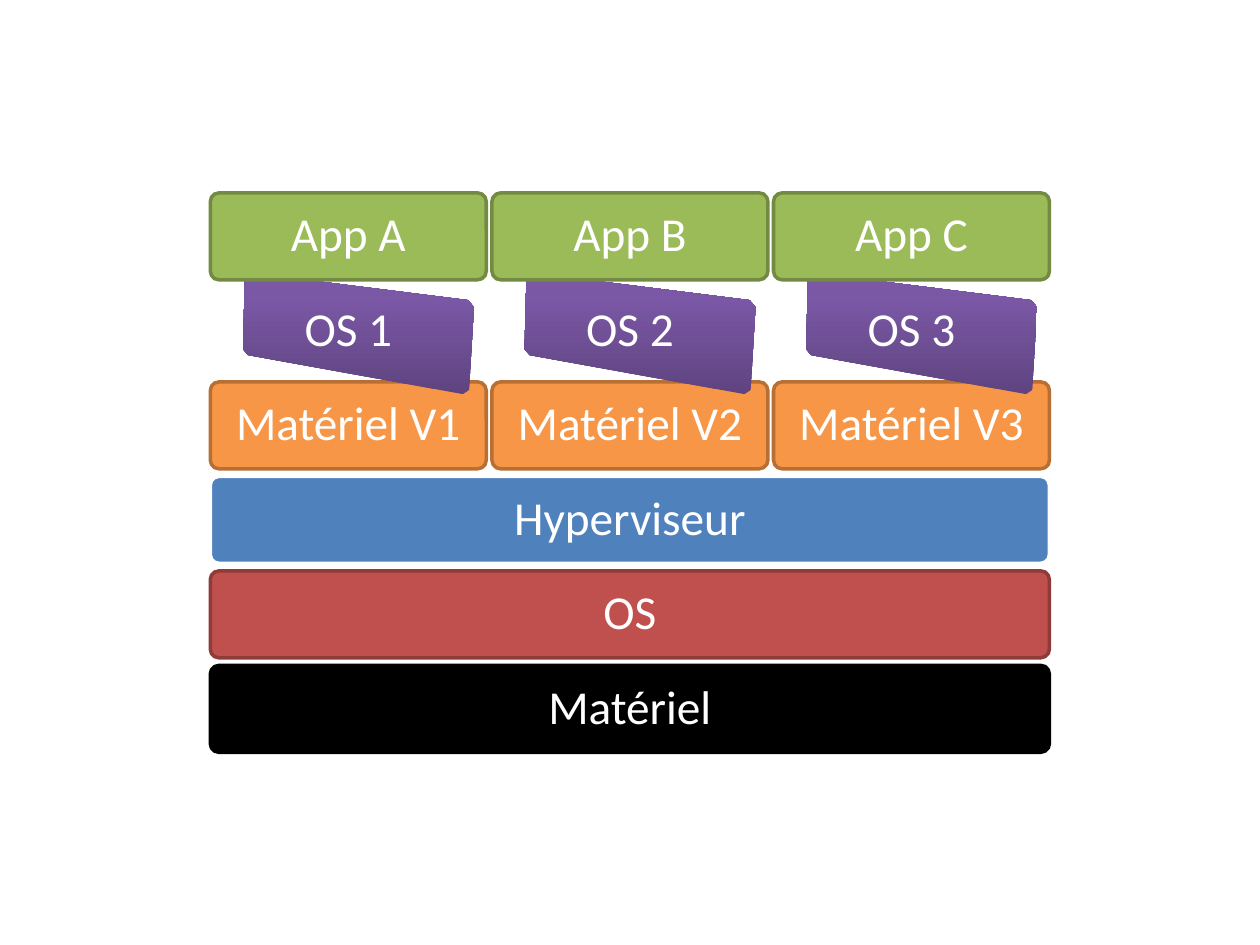
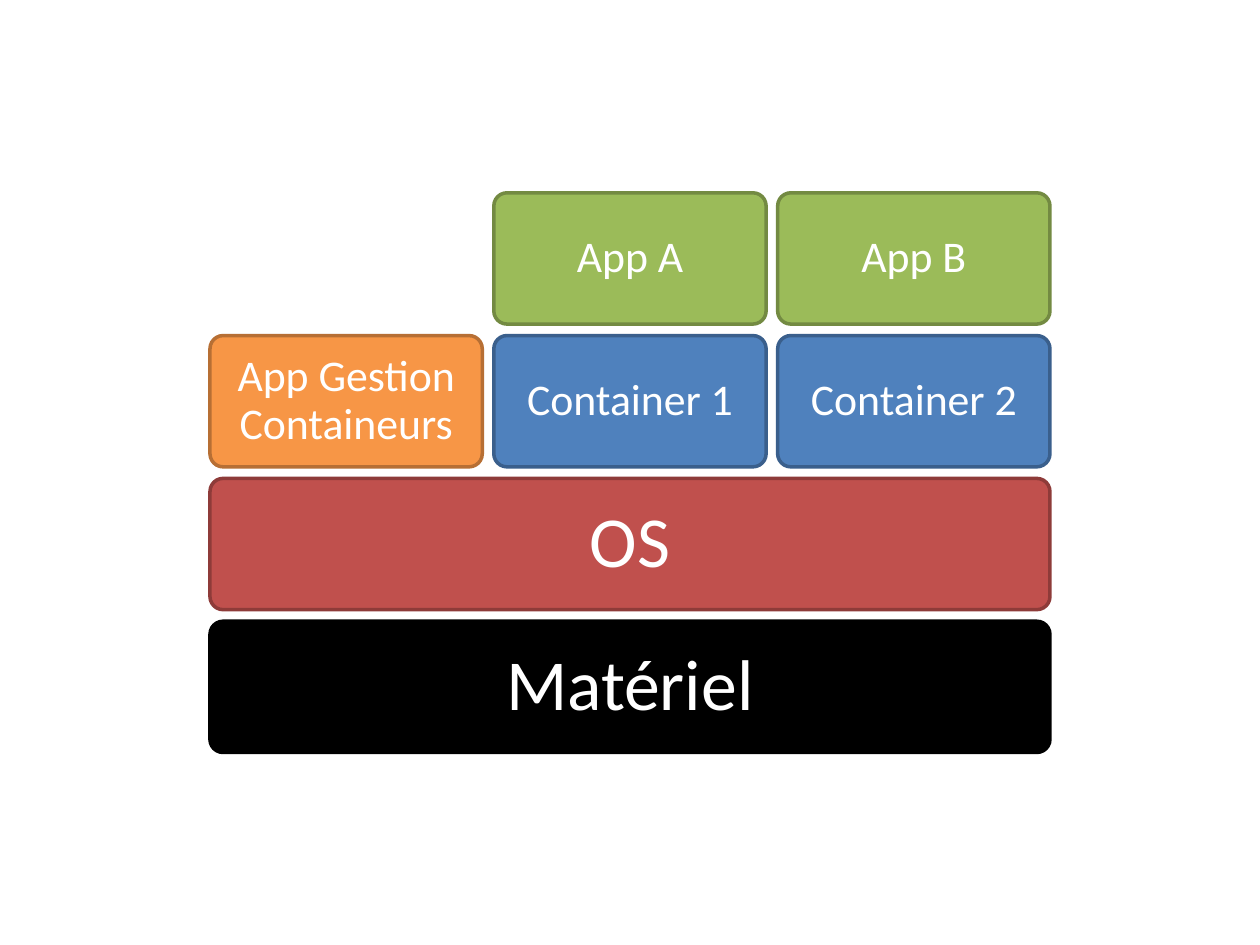
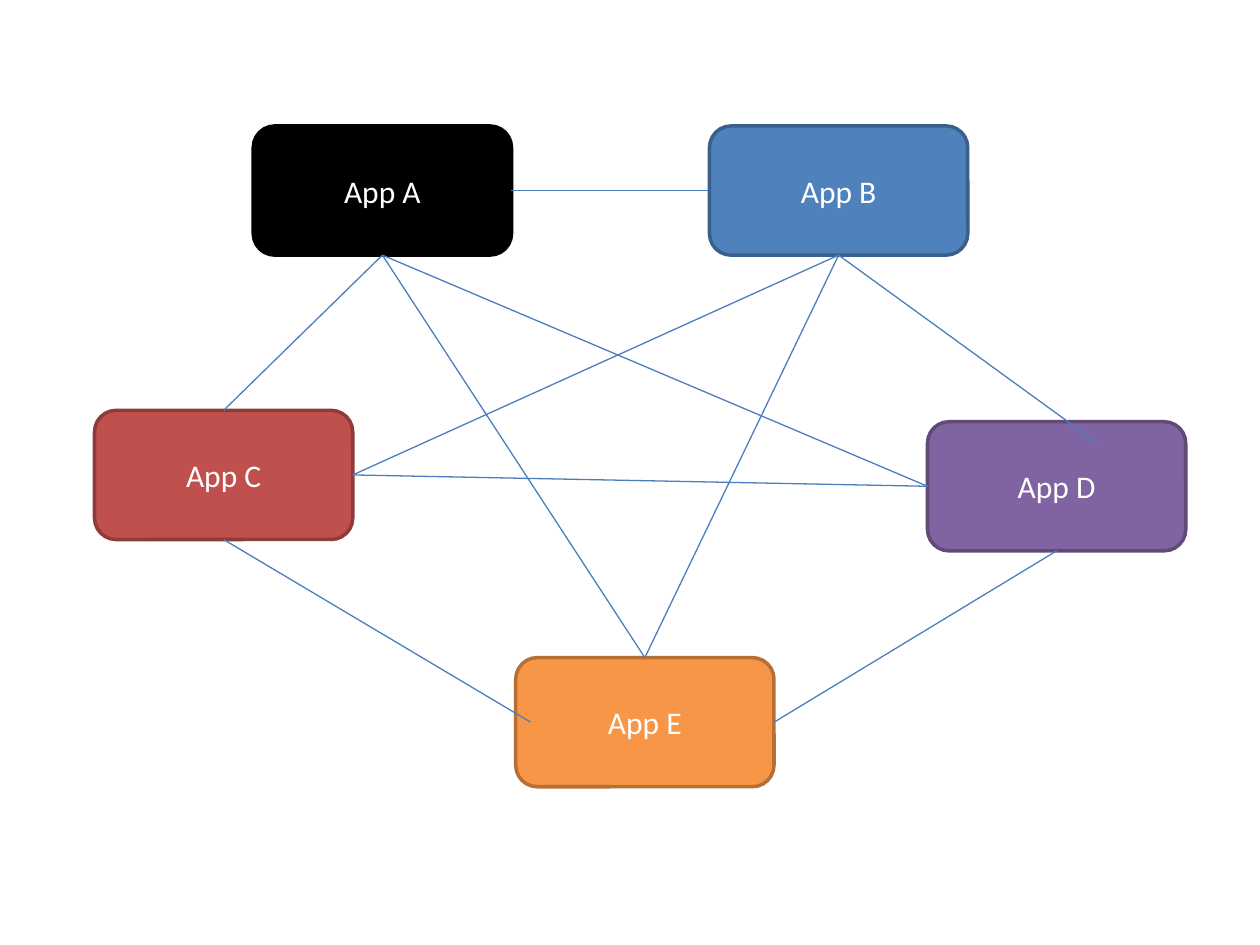
import lxml.etree
import pptx
import pptx.dml.color
import pptx.enum.shapes
import pptx.enum.text
import pptx.oxml.ns
import pptx.util

Pt = pptx.util.Pt
BLACK, BLUE, RED = ("000000", "000000"), ("4F81BD", "3A5F8C"), ("C0504D", "8E3B39")
GREEN, PLUM, GOLD = ("9BBB59", "738A42"), ("8064A2", "5F4A78"), ("F79646", "B76F34")
PALE = ("4F81BD", "FFFFFF")
TILT = [(19.8, -8.7), (147.2, 7.3), (150.6, 11.3), (147.8, 58.7),
        (144.3, 61), (21.5, 38.7), (18.6, 35.3)]


def tint(code):
    return pptx.dml.color.RGBColor.from_string(code)


class Deck:
    """Holds the style and the current slide, and draws each kind of element."""

    font, ink, wire = "Calibri", "FFFFFF", "4B7EBC"

    def __init__(self):
        self.show = pptx.Presentation()
        self.show.slide_width, self.show.slide_height = Pt(720), Pt(540)

    def page(self):
        self.slide = self.show.slides.add_slide(self.show.slide_layouts[6])
        self.shapes = self.slide.shapes

    def label(self, shape, text, size, inset=None, space=None):
        frame = shape.text_frame
        frame.word_wrap = True
        frame.vertical_anchor = pptx.enum.text.MSO_ANCHOR.MIDDLE
        if inset is not None:
            frame.margin_left = frame.margin_right = Pt(inset)
            frame.margin_top = frame.margin_bottom = Pt(inset)
        para = frame.paragraphs[0]
        para.alignment = pptx.enum.text.PP_ALIGN.CENTER
        if space:
            para.line_spacing = space
        run = para.add_run()
        run.text = text
        run.font.name, run.font.size = self.font, Pt(size)
        run.font.color.rgb = tint(self.ink)

    def box(self, at, text, look, size, round=None, **style):
        kind = pptx.enum.shapes.MSO_SHAPE.ROUNDED_RECTANGLE
        shape = self.shapes.add_shape(kind, *map(Pt, at))
        shape.shadow.inherit = False
        if round:
            shape.adjustments[0] = round
        fill, edge = look
        shape.fill.solid()
        shape.fill.fore_color.rgb = tint(fill)
        shape.line.color.rgb = tint(edge)
        shape.line.width = Pt(2)
        self.label(shape, text, size, **style)
        return shape

    def slab(self, at, text, size, **style):
        left, top = at[:2]
        spots = [(Pt(left + x), Pt(top + y)) for x, y in TILT]
        pen = self.shapes.build_freeform(*spots[0], scale=1.0)
        pen.add_line_segments(spots[1:], close=True)
        shape = pen.convert_to_shape()
        shape.shadow.inherit = False
        shape.line.fill.background()
        shape.fill.gradient()
        shape.fill.gradient_angle = 90
        stops = shape.fill.gradient_stops
        for stop, code, place in zip(stops, ("5F4480", "7B58A6"), (0, 0.8)):
            stop.color.rgb, stop.position = tint(code), place
        self.label(self.shapes.add_textbox(*map(Pt, at)), text, size, **style)

    def link(self, start, side, end, goal):
        kind = pptx.enum.shapes.MSO_CONNECTOR.STRAIGHT
        spot = (0, 0) if goal is None else None
        spot = spot and tuple(map(Pt, end)) or (0, 0)
        line = self.shapes.add_connector(kind, 0, 0, *spot)
        line.begin_connect(start, side)
        if goal is not None:
            line.end_connect(end, goal)
        line.line.color.rgb = tint(self.wire)
        line.line.width = Pt(0.75)
        props = line._element.spPr
        lxml.etree.SubElement(props, pptx.oxml.ns.qn("a:effectLst"))


def virtual(deck):
    deck.page()
    left, top, high, step = 120.2, 110.2, 49.7, 54
    style = dict(size=27, inset=8, space=0.9)
    base = [("Matériel", BLACK), ("OS", RED), ("Hyperviseur", PALE)]
    for i, (text, look) in enumerate(base):
        at = (left, top + (5 - i) * step, 479.5, high)
        deck.box(at, text, look, round=0.1, **style)
    for i, name in enumerate("ABC"):
        app, os, gear = [(left + i * 160.9, top + row * step, 157.7, high)
                         for row in range(3)]
        deck.box(gear, f"Matériel V{i + 1}", GOLD, round=0.1, **style)
        deck.slab(os, f"OS {i + 1}", **style)
        deck.box(app, f"App {name}", GREEN, round=0.1, **style)


def boxed(deck):
    deck.page()
    left, top, high, step = 120, 110.2, 75, 81.6
    for row, text, look in [(3, "Matériel", BLACK), (2, "OS", RED)]:
        deck.box((left, top + row * step, 480, high), text, look, 41,
                 round=0.1, inset=12, space=0.9)
    cells = [(0, 1, "App Gestion Containeurs", GOLD),
             (1, 1, "Container 1", BLUE), (1, 0, "App A", GREEN),
             (2, 1, "Container 2", BLUE), (2, 0, "App B", GREEN)]
    for col, row, text, look in cells:
        at = (left + col * 162.2, top + row * step, 155.6, high)
        deck.box(at, text, look, 25, round=0.1, inset=7.2, space=0.9)


def mesh(deck):
    deck.page()
    spots = [("A", 144.7, 72, BLACK), ("B", 405.4, 72, BLUE),
             ("C", 54, 234.5, RED), ("D", 530, 241, PLUM),
             ("E", 294.7, 375.8, GOLD)]
    apps = {name: deck.box((x, y, 147.6, 73.8), f"App {name}", look, 18)
            for name, x, y, look in spots}
    top, left, base, right = range(4)
    links = [("A", base, "C", top), ("C", base, (303.1, 412.6), None),
             ("A", right, "B", left), ("B", base, (626.4, 252.7), None),
             ("E", right, "D", base), ("A", base, "E", top),
             ("A", base, "D", left), ("B", base, "C", right),
             ("B", base, "E", top), ("C", right, "D", left)]
    for start, side, end, goal in links:
        deck.link(apps[start], side, apps.get(end, end), goal)


def main():
    deck = Deck()
    virtual(deck)
    boxed(deck)
    mesh(deck)
    deck.show.save("out.pptx")


if __name__ == "__main__":
    main()
